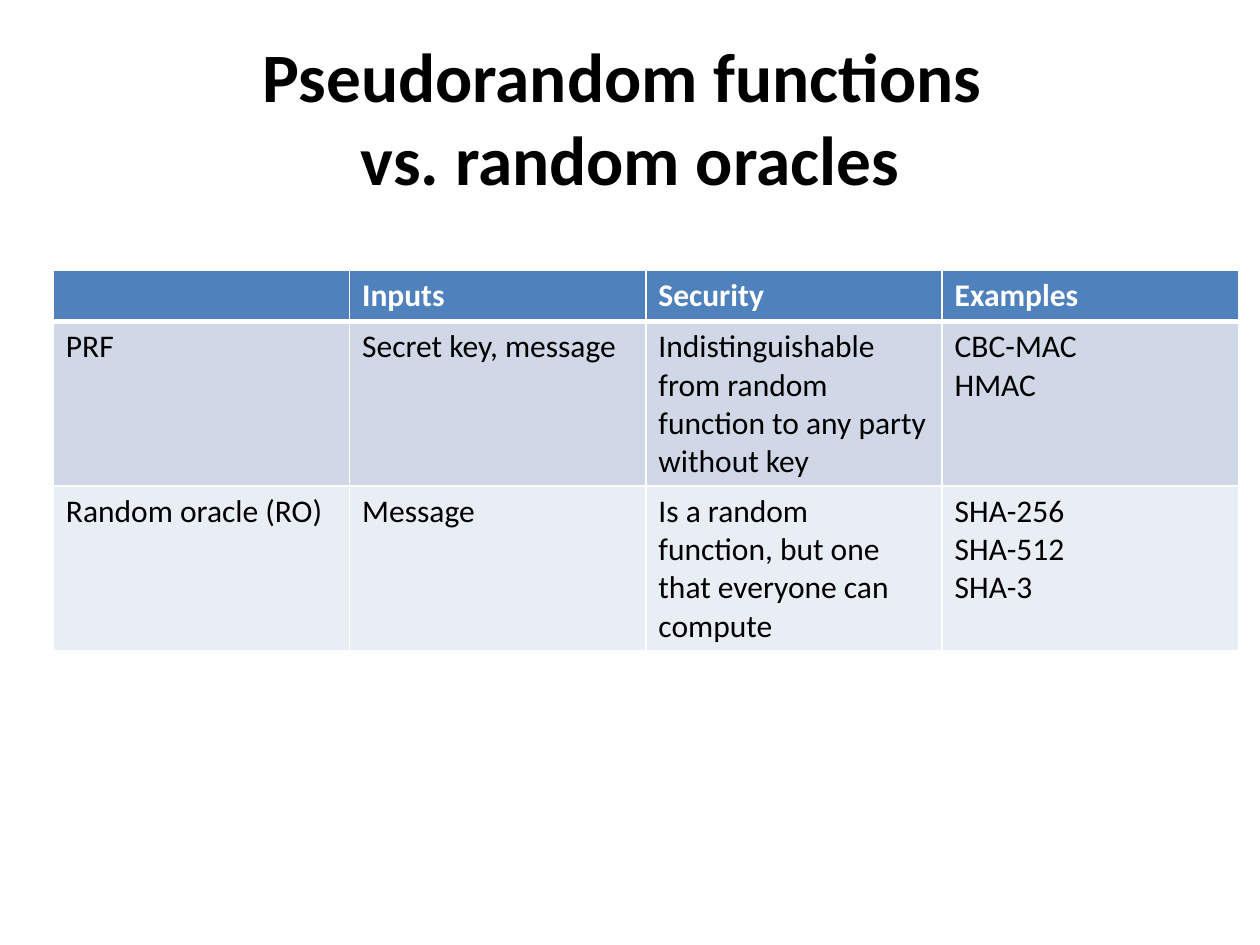
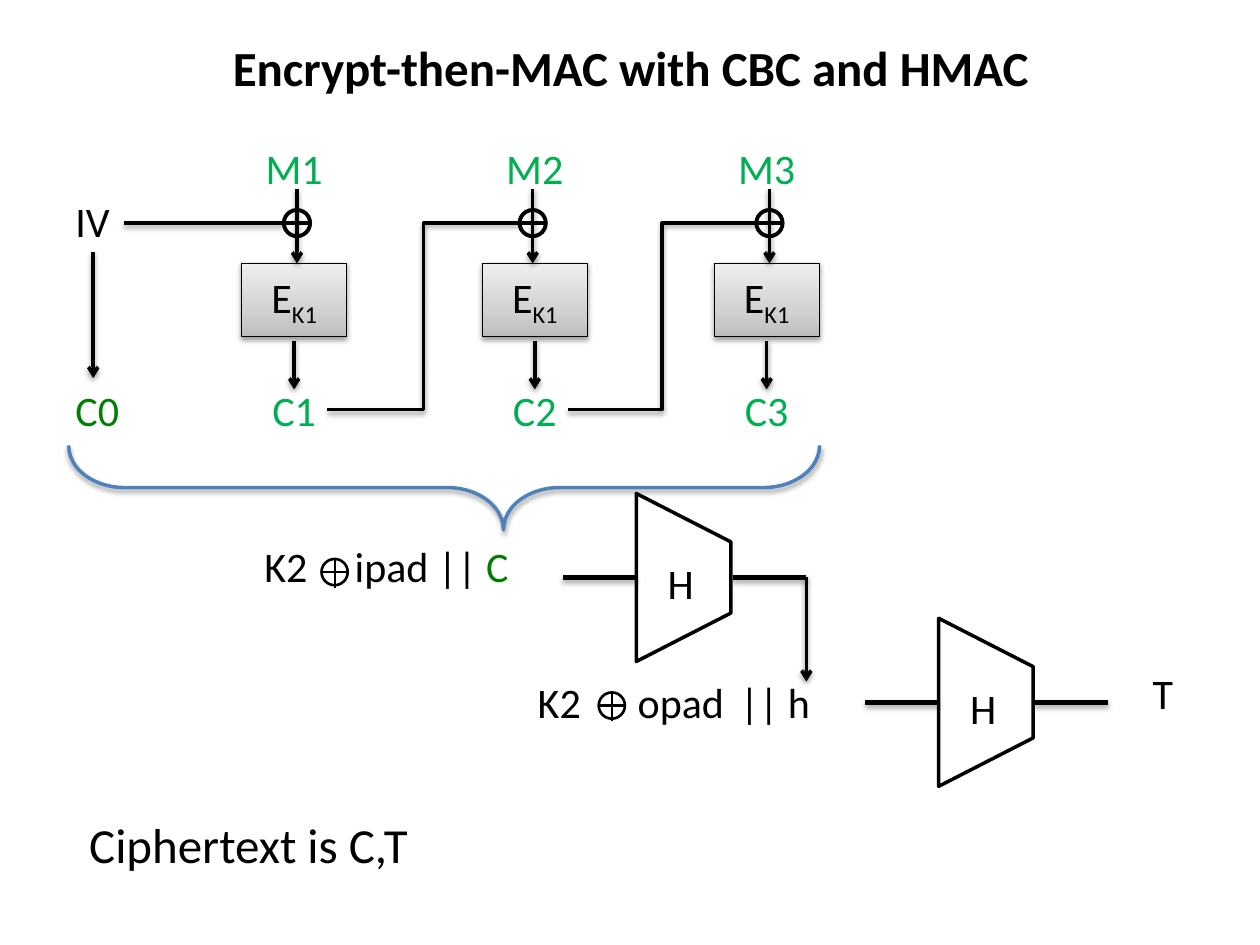
from lxml.etree import SubElement
from pptx import Presentation
from pptx.dml.color import RGBColor
from pptx.enum.shapes import MSO_CONNECTOR, MSO_SHAPE
from pptx.enum.text import MSO_ANCHOR, PP_ALIGN
from pptx.oxml.ns import qn
from pptx.util import Pt

FONT = "Calibri"
BLACK = RGBColor(0x00, 0x00, 0x00)
WHITE = RGBColor(0xFF, 0xFF, 0xFF)
BLUE = RGBColor(0x4F, 0x81, 0xBD)
GREEN = RGBColor(0x00, 0xB0, 0x50)
DARK_GREEN = RGBColor(0x00, 0x80, 0x00)
ROW_FILLS = [BLUE, RGBColor(0xD0, 0xD8, 0xE8), RGBColor(0xE9, 0xED, 0xF4)]
BOX_GRADIENT = [(0, RGBColor(0xBD, 0xBD, 0xBD)), (35, RGBColor(0xD1, 0xD1, 0xD1)),
                (100, RGBColor(0xEE, 0xEE, 0xEE))]

# Slide 1 content: each cell is a list of paragraphs
COMPARISON_TITLE = ["Pseudorandom functions ", "vs. random oracles"]
COMPARISON = [
    [[], ["Inputs"], ["Security"], ["Examples"]],
    [["PRF"], ["Secret key, message"],
     ["Indistinguishable from random function to any party without key"],
     ["CBC-MAC", "HMAC"]],
    [["Random oracle (RO)"], ["Message"],
     ["Is a random function, but one that everyone can compute"],
     ["SHA-256", "SHA-512", "SHA-3"]],
]
ROW_HEIGHTS = [29.2, 94, 94]
COLUMN_WIDTH = 169.3

# Slide 2 content: CBC stages as (message, ciphertext, box centre x, input x)
STAGES = [("M1", "C1", 168.1, 169.7), ("M2", "C2", 305.6, 304.4),
          ("M3", "C3", 438.1, 439.7)]
XOR_Y, BOX_TOP, CIPHER_TOP = 127.5, 150.5, 216
BOX_WIDTH, BOX_HEIGHT, XOR_SIZE, LABEL_HEIGHT = 60, 42, 15, 36
HASH_CENTRES = [(390.6, 330), (563.4, 401.3)]
PAD_XORS = [(191.2, 326.9), (349.6, 403.2)]
# Left-aligned labels: (left, top, width, size, bold, runs, tab stops)
LABELS = [
    (126, 18, 475.2, 28, True, [("Encrypt-then-MAC with CBC and HMAC", BLACK)], []),
    (36, 108, 34.6, 24, False, [("IV", BLACK)], []),
    (36, 216, 39.6, 24, False, [("C0", DARK_GREEN)], []),
    (144, 305.3, 155.5, 24, False, [("K2\tipad || ", BLACK), ("C", DARK_GREEN)], [51.6]),
    (300.2, 383, 173.5, 24, False, [("K2\topad\t|| h", BLACK)], [57.1, 115.5]),
    (651.6, 378, 26.6, 24, False, [("T", BLACK)], []),
    (43.9, 462.2, 200.9, 28, False, [("Ciphertext is C,T", BLACK)], []),
]


def add_run(paragraph, text, size, color=BLACK, bold=False):
    run = paragraph.add_run()
    run.text = text
    run.font.name, run.font.size, run.font.bold = FONT, Pt(size), bold
    run.font.color.rgb = color
    return run


def add_label(slide, left, top, width, size, bold, runs, tabs=(), align=PP_ALIGN.LEFT):
    box = slide.shapes.add_textbox(Pt(left), Pt(top), Pt(width), Pt(LABEL_HEIGHT))
    box.text_frame.word_wrap = bool(tabs)
    paragraph = box.text_frame.paragraphs[0]
    paragraph.alignment = align
    for text, color in runs:
        add_run(paragraph, text, size, color, bold)
    if tabs:
        properties = paragraph.runs[0].font and box.element.find(".//" + qn("a:pPr"))
        tab_list = SubElement(properties, qn("a:tabLst"))
        for position in tabs:
            SubElement(tab_list, qn("a:tab"), pos=str(Pt(position)), algn="l")


def add_shadow(effects, alpha=38, distance=1.6):
    shadow = SubElement(effects, qn("a:outerShdw"), blurRad=str(Pt(3.1)),
                        dist=str(Pt(distance)), dir="5400000", rotWithShape="0")
    color = SubElement(shadow, qn("a:srgbClr"), val=str(BLACK))
    SubElement(color, qn("a:alpha"), val=str(alpha * 1000))


def add_line(slide, start, end, weight=2.0, arrow=False, shadow=True,
             kind=MSO_CONNECTOR.STRAIGHT):
    line = slide.shapes.add_connector(kind, *[Pt(value) for value in (*start, *end)])
    line.line.width = Pt(weight)
    line.line.color.rgb = BLACK
    if arrow:
        SubElement(line.element.find(".//" + qn("a:ln")), qn("a:tailEnd"), type="arrow")
    effects = SubElement(line.element.spPr, qn("a:effectLst"))
    if shadow:
        add_shadow(effects, *((35, 1.8) if weight == 3 else ()))


def add_shape(slide, kind, centre, width, height, weight, color=BLACK, fill=None,
              rotation=0, adjustments=(), shadow=False):
    x, y = centre
    shape = slide.shapes.add_shape(kind, Pt(x - width / 2), Pt(y - height / 2),
                                   Pt(width), Pt(height))
    shape.rotation = rotation
    for index, value in enumerate(adjustments):
        shape.adjustments[index] = value
    if fill is None:
        shape.fill.background()
    else:
        shape.fill.solid()
        shape.fill.fore_color.rgb = fill
    shape.line.color.rgb = color
    shape.line.width = Pt(weight)
    shape.shadow.inherit = False
    if shadow:
        add_shadow(shape.element.spPr.find(qn("a:effectLst")))
    return shape


def add_xor(slide, centre, weight):
    x, y = centre
    add_shape(slide, MSO_SHAPE.OVAL, centre, XOR_SIZE, XOR_SIZE, weight)
    add_line(slide, (x - XOR_SIZE / 2, y), (x + XOR_SIZE / 2, y), weight, shadow=False)


def add_cipher_box(slide, centre_x):
    box = add_shape(slide, MSO_SHAPE.RECTANGLE, (centre_x, BOX_TOP + BOX_HEIGHT / 2),
                    BOX_WIDTH, BOX_HEIGHT, 0.75, shadow=True)
    box.fill.gradient()
    box.fill.gradient_angle = 90
    stops = box.element.find(".//" + qn("a:gsLst"))
    stops.clear()
    for position, color in BOX_GRADIENT:
        stop = SubElement(stops, qn("a:gs"), pos=str(position * 1000))
        SubElement(stop, qn("a:srgbClr"), val=str(color))
    box.text_frame.vertical_anchor = MSO_ANCHOR.MIDDLE
    paragraph = box.text_frame.paragraphs[0]
    paragraph.alignment = PP_ALIGN.CENTER
    add_run(paragraph, "E", 24)
    subscript = add_run(paragraph, "K1", 24)
    subscript.font.element.set("baseline", "-25000") if hasattr(
        subscript.font, "element") else box.element.findall(
        ".//" + qn("a:rPr"))[-1].set("baseline", "-25000")


def set_borders(cell, row_index):
    properties = cell.fill and cell._tc.get_or_add_tcPr()
    heavy_side = {0: "lnB", 1: "lnT"}.get(row_index)
    for index, side in enumerate(("lnL", "lnR", "lnT", "lnB")):
        width = 3 if side == heavy_side else 1
        border = SubElement(properties, qn("a:" + side), w=str(Pt(width)))
        fill = SubElement(border, qn("a:solidFill"))
        SubElement(fill, qn("a:srgbClr"), val=str(WHITE))
        properties.insert(index, border)


def build_comparison(slide):
    # Title
    title = slide.shapes.add_textbox(Pt(36), Pt(21.6), Pt(648), Pt(90))
    title.text_frame.word_wrap = True
    title.text_frame.vertical_anchor = MSO_ANCHOR.MIDDLE
    paragraph = title.text_frame.paragraphs[0]
    paragraph.alignment = PP_ALIGN.CENTER
    for index, text in enumerate(COMPARISON_TITLE):
        if index:
            paragraph.add_line_break()
        add_run(paragraph, text, 39.6, bold=True)

    # Table
    column_count = len(COMPARISON[0])
    table = slide.shapes.add_table(len(COMPARISON), column_count, Pt(30.5), Pt(154.4),
                                   Pt(COLUMN_WIDTH * column_count),
                                   Pt(sum(ROW_HEIGHTS))).table
    for column in table.columns:
        column.width = Pt(COLUMN_WIDTH)
    for row_index, row in enumerate(COMPARISON):
        table.rows[row_index].height = Pt(ROW_HEIGHTS[row_index])
        header = row_index == 0
        for column_index, lines in enumerate(row):
            cell = table.cell(row_index, column_index)
            cell.fill.solid()
            cell.fill.fore_color.rgb = ROW_FILLS[row_index]
            set_borders(cell, row_index)
            frame = cell.text_frame
            for index, text in enumerate(lines):
                paragraph = frame.add_paragraph() if index else frame.paragraphs[0]
                add_run(paragraph, text, 18, WHITE if header else BLACK, header)


def build_encryption(slide):
    # CBC stages, each chained to the ciphertext before it
    previous_x = None
    for message, cipher, centre_x, input_x in STAGES:
        add_cipher_box(slide, centre_x)
        for text, top, width in ((message, 77.8, 47.5), (cipher, CIPHER_TOP, 39.6)):
            add_label(slide, centre_x - width / 2, top, width, 24, False,
                      [(text, GREEN)], align=PP_ALIGN.CENTER)
        add_line(slide, (input_x, 108), (input_x, BOX_TOP), arrow=True)
        add_line(slide, (centre_x, 195), (centre_x, 222.5), arrow=True)
        add_xor(slide, (input_x, XOR_Y), 2.25)
        chain_end = (input_x - XOR_SIZE / 2, XOR_Y)
        if previous_x is None:
            add_line(slide, (70.6, XOR_Y), chain_end)
        else:
            add_line(slide, (previous_x + 19, 234), chain_end, kind=MSO_CONNECTOR.ELBOW)
        previous_x = centre_x
    add_line(slide, (53.3, 144), (53.3, CIPHER_TOP), arrow=True)

    # Hash blocks with their input and output lines
    for x, y in HASH_CENTRES:
        add_shape(slide, MSO_SHAPE.TRAPEZOID, (x, y), 96, 54, 2, fill=WHITE,
                  rotation=90, adjustments=[0.512])
        add_line(slide, (x - 27, y), (x - 69, y), 3)
        add_line(slide, (x + 70, y), (x + 28, y), 3)
        add_label(slide, x - 16.2, y - 14.7, 29.5, 24, False, [("H", BLACK)])
    add_line(slide, (460.8, 329.8), (460.8, 389.5), arrow=True)

    # Brace over the whole ciphertext
    add_shape(slide, MSO_SHAPE.LEFT_BRACE, (253.8, 278.6), 48.2, 429.1, 2, BLUE,
              rotation=270, adjustments=[0.665, 0.579], shadow=True)

    # Labels and the pad symbols between them
    for label in LABELS:
        add_label(slide, *label)
    for x, y in PAD_XORS:
        add_line(slide, (x, y - 8), (x, y + 9), 1.25, shadow=False)
        add_xor(slide, (x, y), 1.5)


def main():
    presentation = Presentation()
    presentation.slide_width, presentation.slide_height = Pt(720), Pt(540)
    for build in (build_comparison, build_encryption):
        build(presentation.slides.add_slide(presentation.slide_layouts[6]))
    presentation.save("out.pptx")


if __name__ == "__main__":
    main()
